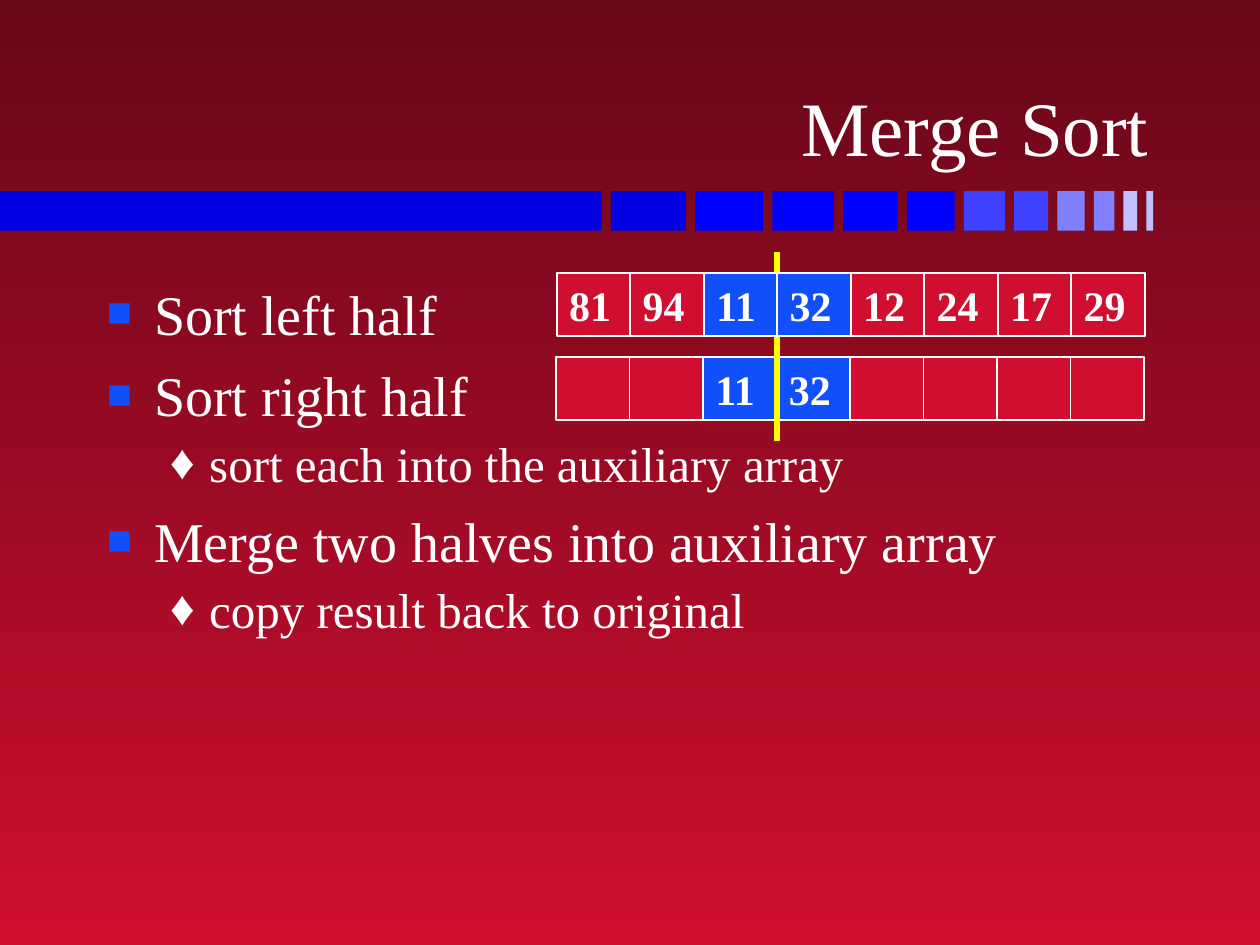
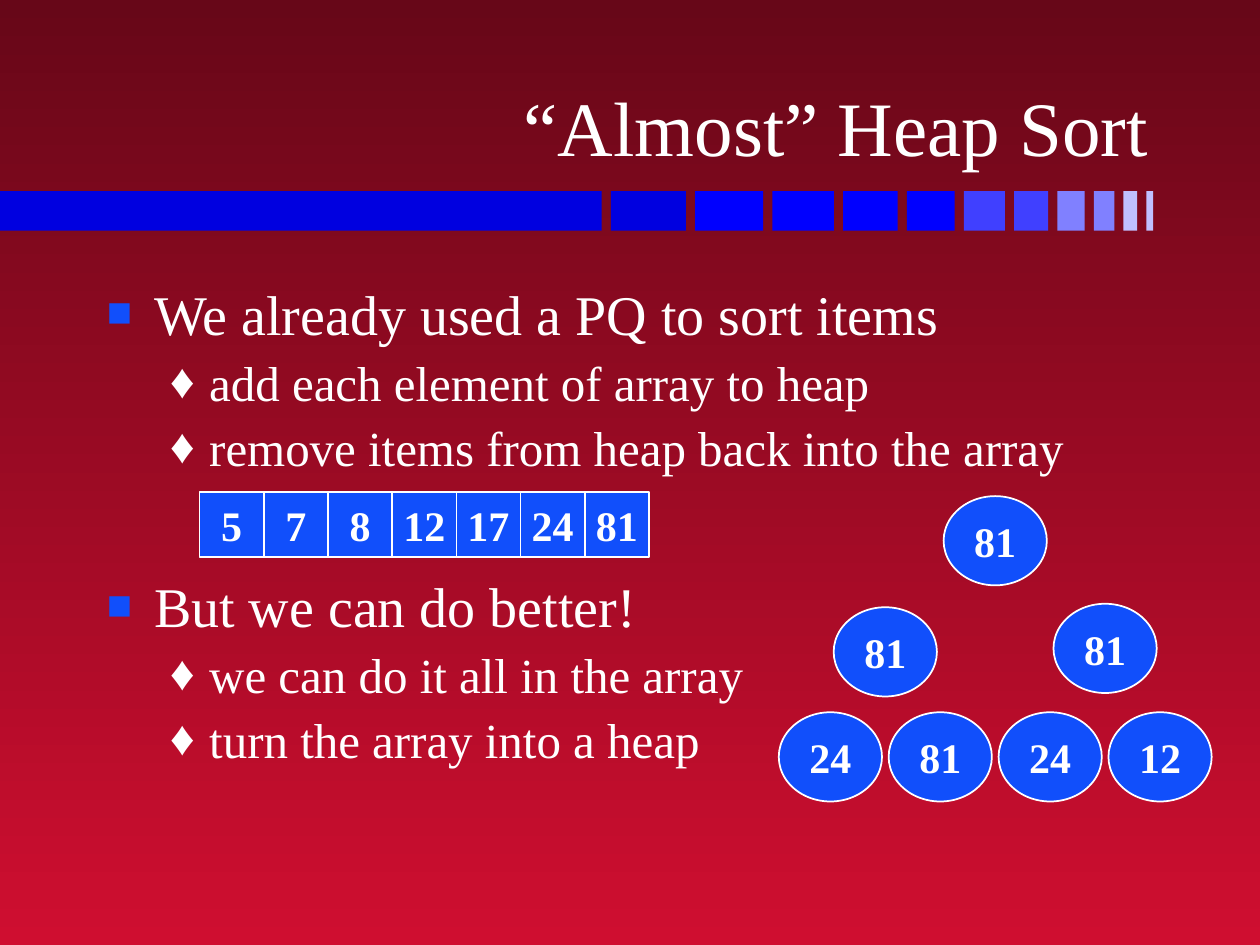
from dataclasses import dataclass

from lxml import etree
from pptx import Presentation
from pptx.dml.color import RGBColor
from pptx.enum import shapes, text
from pptx.oxml import ns
from pptx.util import Pt


@dataclass(frozen=True)
class Theme:
    font: str = "Times New Roman"
    white: str = "FFFFFF"
    blue: str = "114FFB"
    red: str = "CF0E30"
    dark_red: str = "670718"
    yellow: str = "FFFF00"
    band: tuple = ("0000E0",) * 2 + ("0000FF",) * 4 + ("4040FF",) * 2 + ("8080FF",) * 2 + ("C0C0FF",) * 2
    title_size: int = 44
    level_sizes: tuple = (32, 28)
    value_size: int = 24


THEME = Theme()

# Per outline level: left margin, hanging indent, space before, bullet, colour, size in percent
LEVELS = (
    (27, -27, 8, "■", THEME.blue, 75),
    (58.5, -22.5, 3.5, "♦", THEME.white, 100),
)


def rgb(colour):
    return RGBColor.from_string(colour)


def style_font(paragraph, size, bold=False):
    for run in paragraph.runs:
        run.font.name = THEME.font
        run.font.size = Pt(size)
        run.font.bold = bold
        run.font.color.rgb = rgb(THEME.white)


# Shared slide frame

def add_background(slide):
    fill = slide.background.fill
    fill.gradient()
    fill.gradient_angle = 270
    for stop, colour, position in zip(fill.gradient_stops, (THEME.dark_red, THEME.red), (0, 1)):
        stop.color.rgb = rgb(colour)
        stop.position = position


def add_block(slide, kind, left, top, width, height, fill, outline=None):
    block = slide.shapes.add_shape(kind, Pt(left), Pt(top), Pt(width), Pt(height))
    block.shadow.inherit = False
    block.fill.solid()
    block.fill.fore_color.rgb = rgb(fill)
    if outline:
        block.line.color.rgb = rgb(outline)
        block.line.width = Pt(1)
    else:
        block.line.fill.background()
    return block


def add_band(slide):
    """A long bar followed by ever narrower, paler blocks."""
    left, gap = 0, 5.25
    widths = [343.8] + [42.9 - 3.9 * i for i in range(11)]
    for width, colour in zip(widths, THEME.band):
        add_block(slide, shapes.MSO_SHAPE.RECTANGLE, left, 109.2, width, 22.6, colour)
        left += width + gap


def add_text_frame(slide, left, top, width, height):
    frame = slide.shapes.add_textbox(Pt(left), Pt(top), Pt(width), Pt(height)).text_frame
    frame.word_wrap = True
    return frame


def add_title(slide, title):
    frame = add_text_frame(slide, 53, 13.5, 610.5, 88.5)
    frame.vertical_anchor = text.MSO_ANCHOR.BOTTOM
    frame.text = title
    heading = frame.paragraphs[0]
    heading.alignment = text.PP_ALIGN.RIGHT
    style_font(heading, THEME.title_size)


def start_slide(deck, title):
    slide = deck.slides.add_slide(deck.slide_layouts[6])
    add_background(slide)
    add_band(slide)
    add_title(slide, title)
    return slide


# Outline text

def set_bullet(paragraph, level):
    margin, indent, _, char, colour, percent = LEVELS[level]
    properties = paragraph._p.get_or_add_pPr()
    properties.set("marL", str(Pt(margin)))
    properties.set("indent", str(Pt(indent)))
    bullet_colour = etree.SubElement(properties, ns.qn("a:buClr"))
    etree.SubElement(bullet_colour, ns.qn("a:srgbClr")).set("val", colour)
    etree.SubElement(properties, ns.qn("a:buSzPct")).set("val", str(percent * 1000))
    etree.SubElement(properties, ns.qn("a:buFont")).set("typeface", THEME.font)
    etree.SubElement(properties, ns.qn("a:buChar")).set("char", char)


def add_outline(slide, points):
    """Each point is (level, wording) with an optional extra gap above it."""
    frame = add_text_frame(slide, 54, 156, 612, 324)
    frame.text = "\n".join(wording for _, wording, *_ in points)
    for i, (paragraph, (level, _, *extra)) in enumerate(zip(frame.paragraphs, points)):
        paragraph.level = level
        set_bullet(paragraph, level)
        if i:
            paragraph.space_before = Pt(LEVELS[level][2] + sum(extra))
        style_font(paragraph, THEME.level_sizes[level])


# Arrays and heap

def write_value(block, value, alignment, wrap):
    frame = block.text_frame
    frame.word_wrap = wrap
    frame.vertical_anchor = text.MSO_ANCHOR.MIDDLE
    frame.text = value
    frame.paragraphs[0].alignment = alignment
    style_font(frame.paragraphs[0], THEME.value_size, bold=True)


def add_array(slide, left, top, width, height, values, active, alignment):
    """A row of touching cells; the active indexes are blue."""
    for i, value in enumerate(values):
        fill = THEME.blue if i in active else THEME.red
        cell = add_block(slide, shapes.MSO_SHAPE.RECTANGLE, left + i * width, top,
                         width, height, fill, THEME.white)
        if value:
            write_value(cell, value, alignment, wrap=False)


def add_divider(slide, x, top, bottom):
    divider = slide.shapes.add_connector(shapes.MSO_CONNECTOR.STRAIGHT,
                                         Pt(x), Pt(top), Pt(x), Pt(bottom))
    divider.line.color.rgb = rgb(THEME.yellow)
    divider.line.width = Pt(3)
    etree.SubElement(divider._element.spPr, ns.qn("a:effectLst"))


def add_heap(slide, rows):
    """Rows of (tops, values) from the leaves up; parents sit midway between children."""
    width, height = 59, 51
    centres = [474.5 + 62.8 * i for i in range(len(rows[0][1]))]
    for tops, values in rows:
        for centre, top, value in zip(centres, tops, values):
            node = add_block(slide, shapes.MSO_SHAPE.OVAL, centre - width / 2, top,
                             width, height, THEME.blue, THEME.white)
            write_value(node, value, text.PP_ALIGN.CENTER, wrap=True)
        centres = [(a + b) / 2 for a, b in zip(centres[::2], centres[1::2])]


# Slides

def build_merge_sort(deck):
    slide = start_slide(deck, "Merge Sort")
    add_outline(slide, [
        (0, "Sort left half"),
        (0, "Sort right half"),
        (1, "sort each into the auxiliary array"),
        (0, "Merge two halves into auxiliary array"),
        (1, "copy result back to original"),
    ])
    left_aligned, merging = text.PP_ALIGN.LEFT, (2, 3)
    auxiliary = ["", "", "11", "32", "", "", "", ""]
    add_array(slide, 317.7, 204, 42, 36, auxiliary, merging, left_aligned)
    add_divider(slide, 444, 144, 252)
    numbers = ["81", "94", "11", "32", "12", "24", "17", "29"]
    add_array(slide, 318.2, 156, 42, 36, numbers, merging, left_aligned)


def build_heap_sort(deck):
    slide = start_slide(deck, "“Almost” Heap Sort")
    add_outline(slide, [
        (0, "We already used a PQ to sort items"),
        (1, "add each element of array to heap"),
        (1, "remove items from heap back into the array"),
        (0, "But we can do better!", 46.5),
        (1, "we can do it all in the array"),
        (1, "turn the array into a heap"),
    ])
    in_order = ["5", "7", "8", "12", "17", "24", "81"]
    add_array(slide, 114, 281.3, 36.7, 37, in_order, range(7), text.PP_ALIGN.CENTER)
    add_heap(slide, [
        ([407] * 4, ["24", "81", "24", "12"]),
        ([347, 345], ["81", "81"]),
        ([283.5], ["81"]),
    ])


def main():
    deck = Presentation()
    deck.slide_width, deck.slide_height = Pt(720), Pt(540)
    build_merge_sort(deck)
    build_heap_sort(deck)
    deck.save("out.pptx")


if __name__ == "__main__":
    main()
